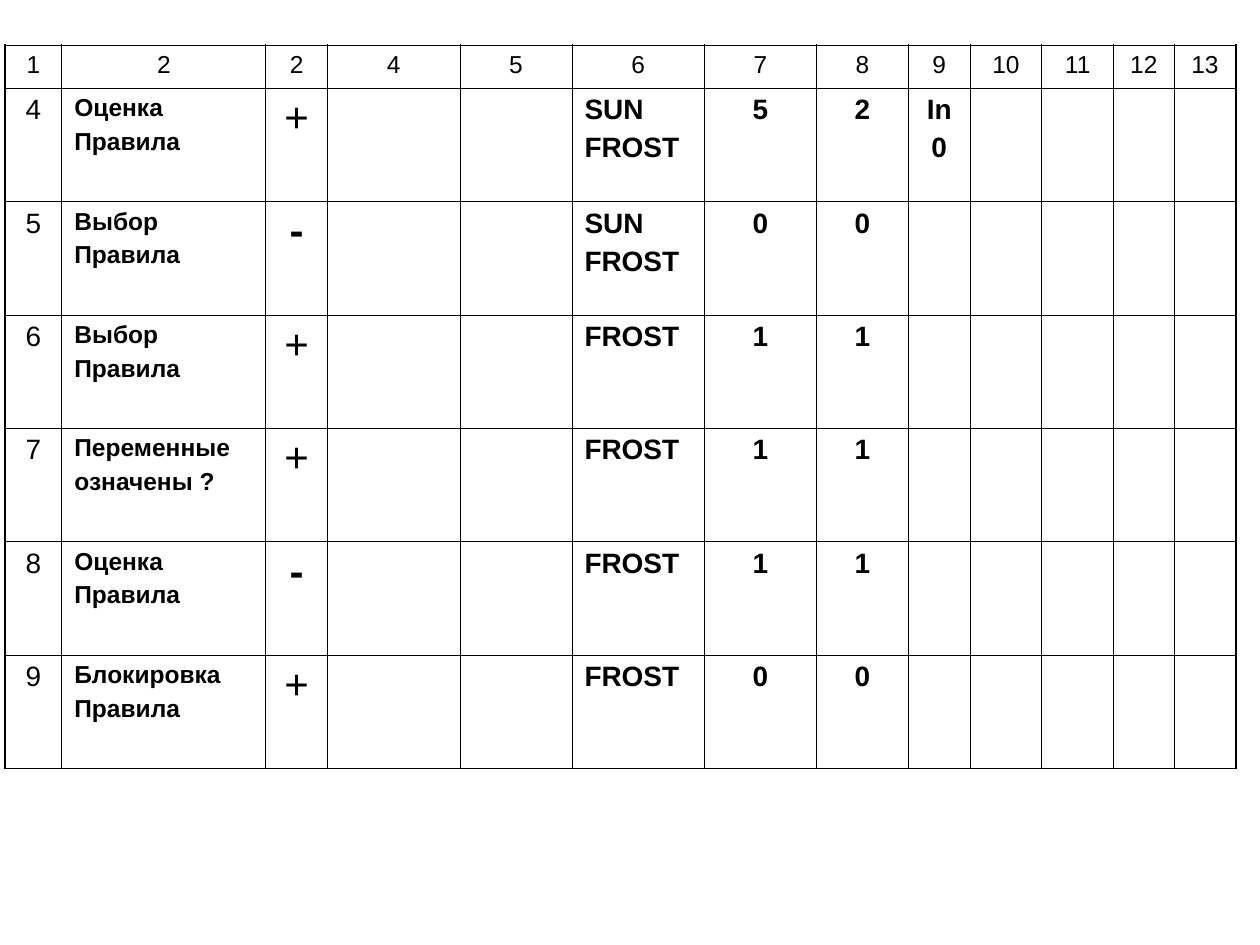
from lxml import etree
from pptx import Presentation
from pptx.dml.color import RGBColor
from pptx.enum.text import PP_ALIGN as Align
from pptx.oxml.ns import qn
from pptx.util import Inches, Pt

BLACK = "000000"
THIN, THICK = 0.45, 1.08
COLUMN_WIDTHS = [0.45, 1.62, 0.49, 1.05, 0.89, 1.05, 0.89,
                 0.73, 0.49, 0.57, 0.57, 0.48, 0.49]
HEADER_HEIGHT, STEP_HEIGHT = 0.34, 0.9
HEADER = ["1", "2", "2", "4", "5", "6", "7", "8", "9", "10", "11", "12", "13"]
# step, action, outcome, variables, column 7, column 8, column 9
STEPS = [
    ("4", "Оценка\nПравила", "+", "SUN\nFROST", "5", "2", "In\n0"),
    ("5", "Выбор\nПравила", "-", "SUN\nFROST", "0", "0", ""),
    ("6", "Выбор\nПравила", "+", "FROST", "1", "1", ""),
    ("7", "Переменные\nозначены ?", "+", "FROST", "1", "1", ""),
    ("8", "Оценка\nПравила", "-", "FROST", "1", "1", ""),
    ("9", "Блокировка\nПравила", "+", "FROST", "0", "0", ""),
]
STEP_COLUMNS = [0, 1, 2, 5, 6, 7, 8]


def rgb(color):
    return RGBColor.from_string(color)


def write(tf, text, size=16, bold=False, align=Align.CENTER, color=BLACK):
    """Write one paragraph for each line of text."""
    for i, line in enumerate(text.split("\n")):
        p = tf.paragraphs[0] if i == 0 else tf.add_paragraph()
        p.alignment = align
        if i:
            p.space_before = Pt(size / 4)
        r = p.add_run()
        r.text = line
        r.font.name = "Arial"
        r.font.size = Pt(size)
        r.font.bold = bold
        r.font.color.rgb = rgb(color)


def set_borders(cell, widths, color=BLACK):
    """Draw the borders, given widths in points by side: L, R, T, B."""
    tc_pr = cell._tc.get_or_add_tcPr()
    for i, (side, width) in enumerate(widths.items()):
        ln = etree.Element(qn(f"a:ln{side}"), w=str(Pt(width)))
        fill = etree.SubElement(ln, qn("a:solidFill"))
        etree.SubElement(fill, qn("a:srgbClr"), val=color)
        tc_pr.insert(i, ln)


def step_format(col, text):
    if col == 0:
        return {}
    if col == 1:
        return dict(size=14, bold=True, align=Align.LEFT)
    if col == 2:
        return dict(size=24, bold=text == "-")
    return dict(bold=True, align=Align.LEFT if col == 5 else Align.CENTER)


def add_trace_table(slide, left, top, width, height):
    n_rows, n_cols = len(STEPS) + 1, len(HEADER)
    table = slide.shapes.add_table(n_rows, n_cols, left, top, width, height).table
    table.first_row = table.horz_banding = False
    for column, column_width in zip(table.columns, COLUMN_WIDTHS):
        column.width = Inches(column_width)
    for i, row in enumerate(table.rows):
        row.height = Inches(STEP_HEIGHT if i else HEADER_HEIGHT)
        for j, cell in enumerate(row.cells):
            cell.fill.background()
            set_borders(cell, {
                "L": THICK if j == 0 else THIN,
                "R": THICK if j == n_cols - 1 else THIN,
                "T": THICK if i == 0 else THIN,
                "B": THICK if i == n_rows - 1 else THIN,
            })

    for j, text in enumerate(HEADER):
        write(table.cell(0, j).text_frame, text, size=14)
    for i, step in enumerate(STEPS, 1):
        for j, text in zip(STEP_COLUMNS, step):
            if text:
                write(table.cell(i, j).text_frame, text, **step_format(j, text))


def main():
    prs = Presentation()
    prs.slide_width, prs.slide_height = Inches(10), Inches(7.5)
    slide = prs.slides.add_slide(prs.slide_layouts[6])
    add_trace_table(slide, Inches(0.04), Inches(0.36),
                    Inches(sum(COLUMN_WIDTHS)),
                    Inches(HEADER_HEIGHT + STEP_HEIGHT * len(STEPS)))
    prs.save("out.pptx")


if __name__ == "__main__":
    main()
